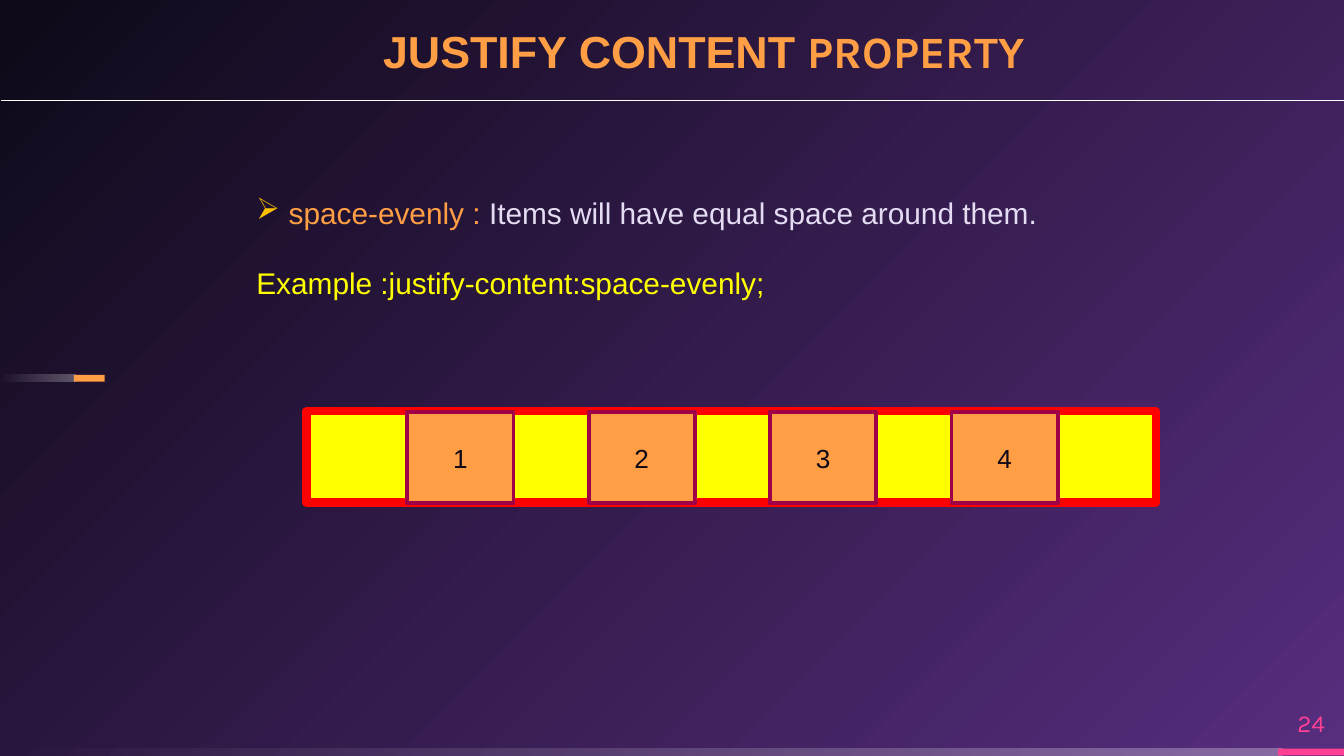
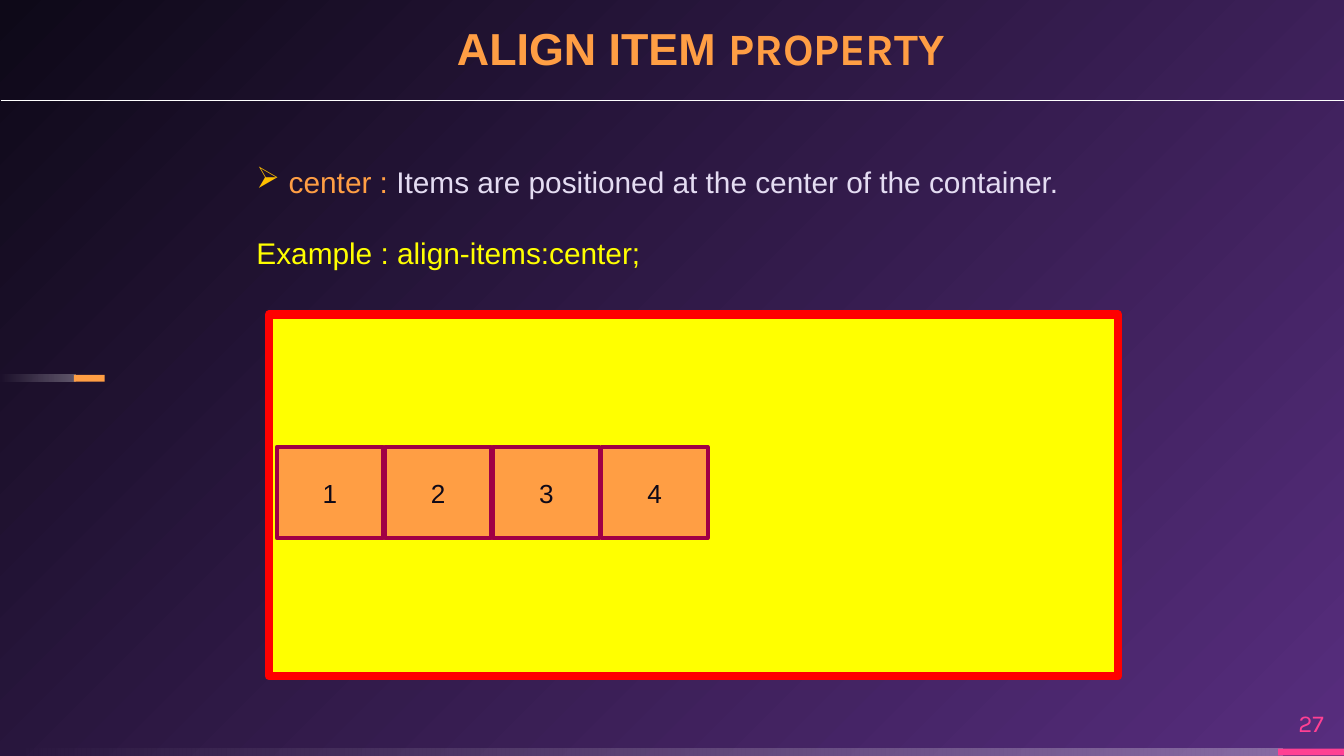
"""Build two slides on flexbox alignment properties."""
from dataclasses import dataclass
from typing import Any, NamedTuple

from lxml import etree
from pptx import Presentation
from pptx import util as u
from pptx.dml.color import RGBColor
from pptx.enum import shapes, text
from pptx.oxml import ns

WIDTH = u.Inches(10)
HEIGHT = WIDTH * 9 // 16
CELL = WIDTH / 100


@dataclass(frozen=True)
class Theme:
    """Colours, fonts and type sizes of the deck."""
    night: str = "0E0918"
    violet: str = "572D7E"
    white: str = "FFFFFF"
    lilac: str = "E4DCF2"
    orange: str = "FF9E44"
    pink: str = "FF4093"
    yellow: str = "FFFF00"
    gold: str = "FFC000"
    red: str = "FF0000"
    wine: str = "A00045"
    body_font: str = "Arial"
    accent_font: str = "Karla"
    title_size: float = 24
    body_size: float = 16
    item_size: float = 14
    number_size: float = 13


T = Theme()


class Area(NamedTuple):
    """A rectangle in grid columns and rows."""
    left: float
    top: float
    width: float
    height: float


class Run(NamedTuple):
    """A stretch of text in one format."""
    words: str
    color: str
    size: float
    font: str = T.body_font
    bold: bool = False


class Box(NamedTuple):
    """A filled rectangle; a line colour of None means no outline."""
    area: Area
    fill: str
    line: str | None = None
    weight: float = 0


class Row(NamedTuple):
    """Evenly stepped flex items."""
    left: float
    top: float
    step: float


class Page(NamedTuple):
    """The content of one slide."""
    number: str
    topic: str
    title: Area
    term: str
    meaning: str
    example: str
    body: Area
    container: Area
    items: Row


BARS = (
    Box(Area(95.1, 55.7, 4.9, 0.5), T.pink),
    Box(Area(5.5, 27.9, 2.3, 0.5), T.orange),
)
FADES = (Area(0, 55.7, 95.4, 0.5), Area(0, 27.9, 5.6, 0.5))
NUMBER = Area(95.1, 51.9, 4.9, 3.8)
RULE_ROW = 7.5
ITEM_WIDTH, ITEM_HEIGHT = 7.9, 6.8
BULLET_INDENT = u.Inches(0.24)

PAGES = (
    Page("24", "JUSTIFY CONTENT ", Area(28.5, 1.5, 57.1, 4.3),
         "space-evenly : ", "Items will have equal space around them.",
         "Example :justify-content:space-evenly;",
         Area(18.1, 14, 72, 9.1), Area(22.8, 30.6, 63.2, 6.8),
         Row(30.3, 30.65, 13.5)),
    Page("27", "ALIGN ITEM ", Area(34, 1.3, 42.6, 4.3),
         "center : ", "Items are positioned at the center of the container.",
         "Example : align-items:center;",
         Area(18.1, 11.7, 66.8, 9.1), Area(20, 23.4, 63.2, 26.9),
         Row(20.6, 33.25, 8.05)),
)


def cells(*counts: float) -> list[int]:
    """Turn grid counts into lengths."""
    return [round(n * CELL) for n in counts]


def apply(target: Any, values: dict[str, Any]) -> None:
    """Set each named attribute on the target."""
    for name, value in values.items():
        setattr(target, name, value)


def add_run(p: Any, run: Run) -> None:
    """Append a formatted run to a paragraph."""
    r = p.add_run()
    r.text = run.words
    apply(r.font, {"name": run.font, "size": u.Pt(run.size), "bold": run.bold})
    r.font.color.rgb = RGBColor.from_string(run.color)


def add_text(s: Any, area: Area, runs: list[Run], **frame: Any) -> Any:
    """Add a text box holding one paragraph and return its frame."""
    tf = s.shapes.add_textbox(*cells(*area)).text_frame
    apply(tf, {"word_wrap": True, **frame})
    for run in runs:
        add_run(tf.paragraphs[0], run)
    return tf


def add_box(s: Any, box: Box, kind: Any = shapes.MSO_SHAPE.RECTANGLE) -> Any:
    """Draw a flat box."""
    sp = s.shapes.add_shape(kind, *cells(*box.area))
    sp.shadow.inherit = False
    sp.fill.solid()
    sp.fill.fore_color.rgb = RGBColor.from_string(box.fill)
    if box.line:
        sp.line.color.rgb = RGBColor.from_string(box.line)
        sp.line.width = u.Pt(box.weight)
    else:
        sp.line.fill.background()
    return sp


def set_gradient(fill: Any, colors: tuple[str, str]) -> None:
    """Give a fill a two-stop gradient."""
    fill.gradient()
    for position, (stop, color) in enumerate(zip(fill.gradient_stops, colors)):
        stop.color.rgb = RGBColor.from_string(color)
        stop.position = position


def add_fade(s: Any, area: Area) -> None:
    """Draw a white bar that fades out to the left."""
    sp = add_box(s, Box(area, T.white))
    set_gradient(sp.fill, (T.white, T.white))
    sp.fill.gradient_angle = 180
    colors = sp.element.spPr.iter(ns.qn("a:srgbClr"))
    for color, alpha in zip(colors, ("30000", "0")):
        etree.SubElement(color, ns.qn("a:alpha"), val=alpha)


def set_background(s: Any) -> None:
    """Spread a radial gradient from the bottom right corner."""
    set_gradient(s.background.fill, (T.violet, T.night))
    grad = s.element.find(".//" + ns.qn("a:gradFill"))
    grad.remove(grad.find(ns.qn("a:lin")))
    radial = etree.SubElement(grad, ns.qn("a:path"), path="circle")
    etree.SubElement(radial, ns.qn("a:fillToRect"), l="100000", t="100000")


def add_rule(s: Any) -> None:
    """Draw the line under the title."""
    start, end, y = cells(0.1, 100, RULE_ROW)
    sp = s.shapes.add_connector(shapes.MSO_CONNECTOR.STRAIGHT, start, y, end, y)
    sp.line.color.rgb = RGBColor.from_string(T.white)
    sp.line.width = u.Pt(0.75)
    etree.SubElement(sp.element.spPr, ns.qn("a:effectLst"))


def add_frame(s: Any, page: Page) -> None:
    """Draw the background, bars, number, title and rule."""
    set_background(s)
    for area, bar in zip(FADES, BARS):
        add_fade(s, area)
        add_box(s, bar)
    bare = dict.fromkeys(
        ("margin_left", "margin_top", "margin_right", "margin_bottom"), 0)
    tf = add_text(s, NUMBER, [Run(page.number, T.pink, T.number_size, T.accent_font)],
                  vertical_anchor=text.MSO_ANCHOR.MIDDLE, **bare)
    tf.paragraphs[0].alignment = text.PP_ALIGN.CENTER
    tf = add_text(s, page.title, [
        Run(page.topic, T.orange, T.title_size, bold=True),
        Run("PROPERTY", T.orange, T.title_size, T.accent_font, True),
    ], vertical_anchor=text.MSO_ANCHOR.BOTTOM, **bare)
    tf.paragraphs[0].line_spacing = 0.9
    add_rule(s)


def add_body(s: Any, page: Page) -> None:
    """Write the bulleted definition and its example."""
    tf = add_text(s, page.body, [
        Run(page.term, T.orange, T.body_size),
        Run(page.meaning, T.lilac, T.body_size),
    ], auto_size=text.MSO_AUTO_SIZE.SHAPE_TO_FIT_TEXT)
    pr = tf.paragraphs[0]._p.get_or_add_pPr()
    pr.set("marL", str(BULLET_INDENT))
    pr.set("indent", str(-BULLET_INDENT))
    color = etree.SubElement(pr, ns.qn("a:buClr"))
    etree.SubElement(color, ns.qn("a:srgbClr"), val=T.gold)
    etree.SubElement(pr, ns.qn("a:buChar"), char="➢")
    p = tf.add_paragraph()
    p.space_before = u.Pt(18.5)
    add_run(p, Run(page.example, T.yellow, T.body_size))


def add_flexbox(s: Any, page: Page) -> None:
    """Draw the flex container and its four items."""
    kind = shapes.MSO_SHAPE.FLOWCHART_PROCESS
    add_box(s, Box(page.container, T.yellow, T.red, 4.5), kind)
    row = page.items
    for i in range(4):
        area = Area(row.left + i * row.step, row.top, ITEM_WIDTH, ITEM_HEIGHT)
        tf = add_box(s, Box(area, T.orange, T.wine, 2), kind).text_frame
        tf.vertical_anchor = text.MSO_ANCHOR.MIDDLE
        p = tf.paragraphs[0]
        p.alignment = text.PP_ALIGN.CENTER
        add_run(p, Run(str(i + 1), T.night, T.item_size))


def main() -> None:
    """Build and save the deck."""
    prs = Presentation()
    apply(prs, {"slide_width": WIDTH, "slide_height": HEIGHT})
    for page in PAGES:
        s = prs.slides.add_slide(prs.slide_layouts[6])
        for draw in (add_frame, add_body, add_flexbox):
            draw(s, page)
    prs.save("out.pptx")


if __name__ == "__main__":
    main()
